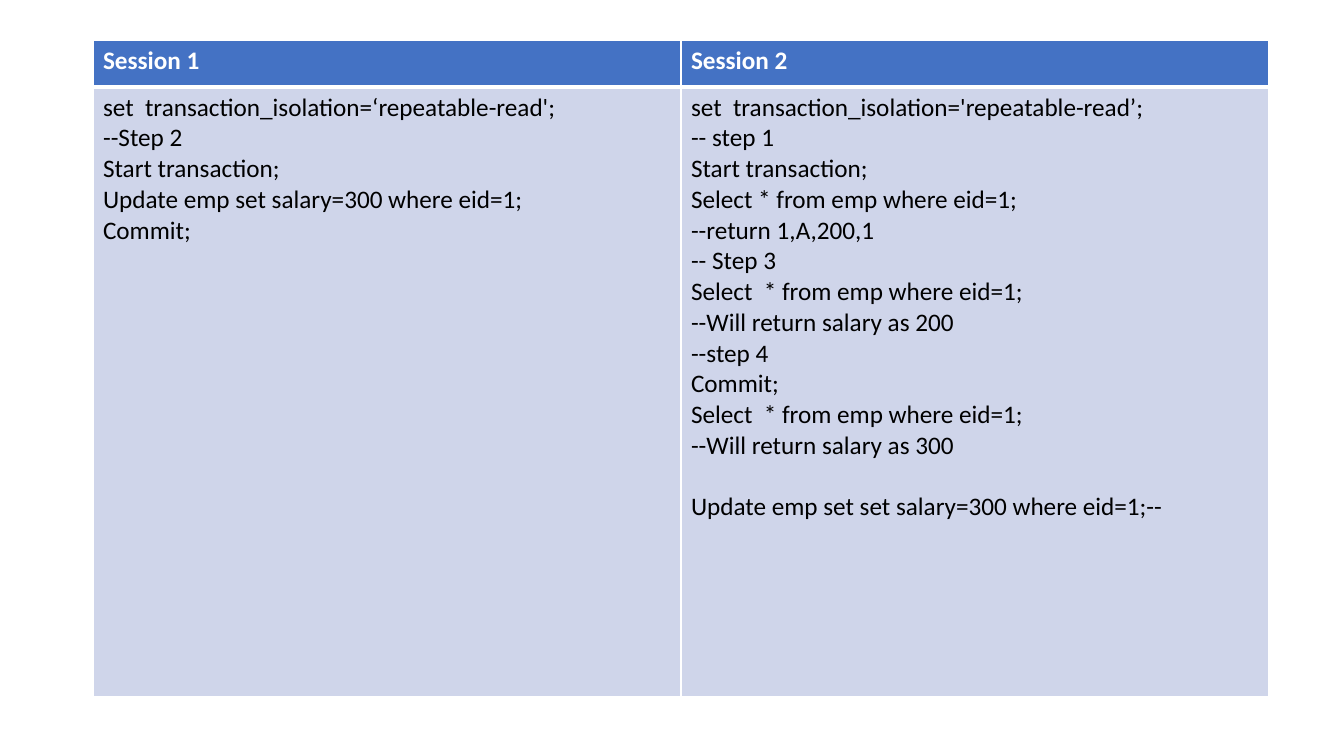
from lxml import etree
from pptx import Presentation
from pptx.dml.color import RGBColor
from pptx.oxml.ns import qn
from pptx.util import Emu, Pt

PX = 914400 / 100.8  # EMU in one pixel
FONT = "Calibri"
SIZE = 18
LINE = 22  # height of one text line in points
WHITE, BLACK = "FFFFFF", "000000"
BLUE, PALE = "4472C4", "CFD5EA"

LEFT, TOP = 93, 40
COL = 588
ROWS = (47, 610)

HEADS = ("Session 1", "Session 2")
# Each session is a list of blocks, set apart by one line of space
STEPS = (
    [
        [
            "set  transaction_isolation=‘repeatable-read';",
            "--Step 2",
            "Start transaction;",
            "Update emp set salary=300 where eid=1;",
            "Commit;",
        ],
    ],
    [
        [
            "set  transaction_isolation='repeatable-read’;",
            "-- step 1",
            "Start transaction;",
            "Select * from emp where eid=1;",
            "--return 1,A,200,1",
            "-- Step 3",
            "Select  * from emp where eid=1;",
            "--Will return salary as 200",
            "--step 4",
            "Commit;",
            "Select  * from emp where eid=1;",
            "--Will return salary as 300",
        ],
        ["Update emp set set salary=300 where eid=1;--"],
    ],
)


def px(n):
    return Emu(round(n * PX))


def color(code):
    return RGBColor.from_string(code)


def edge(cell, side, width):
    props = cell._tc.get_or_add_tcPr()
    line = etree.SubElement(props, qn("a:ln" + side), w=str(Pt(width)))
    fill = etree.SubElement(line, qn("a:solidFill"))
    etree.SubElement(fill, qn("a:srgbClr"), val=WHITE)


def write(frame, blocks, ink, bold):
    lines = [
        (text, b > 0 and i == 0)
        for b, block in enumerate(blocks)
        for i, text in enumerate(block)
    ]
    for n, (text, gap) in enumerate(lines):
        para = frame.add_paragraph() if n else frame.paragraphs[0]
        para.text = text
        if gap:
            para.space_before = Pt(LINE)
        font = para.font
        font.name, font.size, font.bold = FONT, Pt(SIZE), bold
        font.color.rgb = color(ink)


def style(cell, blocks, back, ink, bold, edges):
    write(cell.text_frame, blocks, ink, bold)
    for side, width in zip("LRTB", edges):
        edge(cell, side, width)
    cell.fill.solid()
    cell.fill.fore_color.rgb = color(back)


def grid(slide):
    size = px(COL * len(HEADS)), px(sum(ROWS))
    table = slide.shapes.add_table(
        len(ROWS), len(HEADS), px(LEFT), px(TOP), *size
    ).table
    for row, height in zip(table.rows, ROWS):
        row.height = px(height)
    for c, (head, steps) in enumerate(zip(HEADS, STEPS)):
        table.columns[c].width = px(COL)
        # A thick line parts the heading from the steps
        style(table.cell(0, c), [[head]], BLUE, WHITE, True, (1, 1, 1, 3))
        style(table.cell(1, c), steps, PALE, BLACK, False, (1, 1, 3, 1))


def main():
    deck = Presentation()
    deck.slide_width, deck.slide_height = px(1344), px(756)
    slide = deck.slides.add_slide(deck.slide_layouts[6])
    grid(slide)
    deck.save("out.pptx")


if __name__ == "__main__":
    main()
